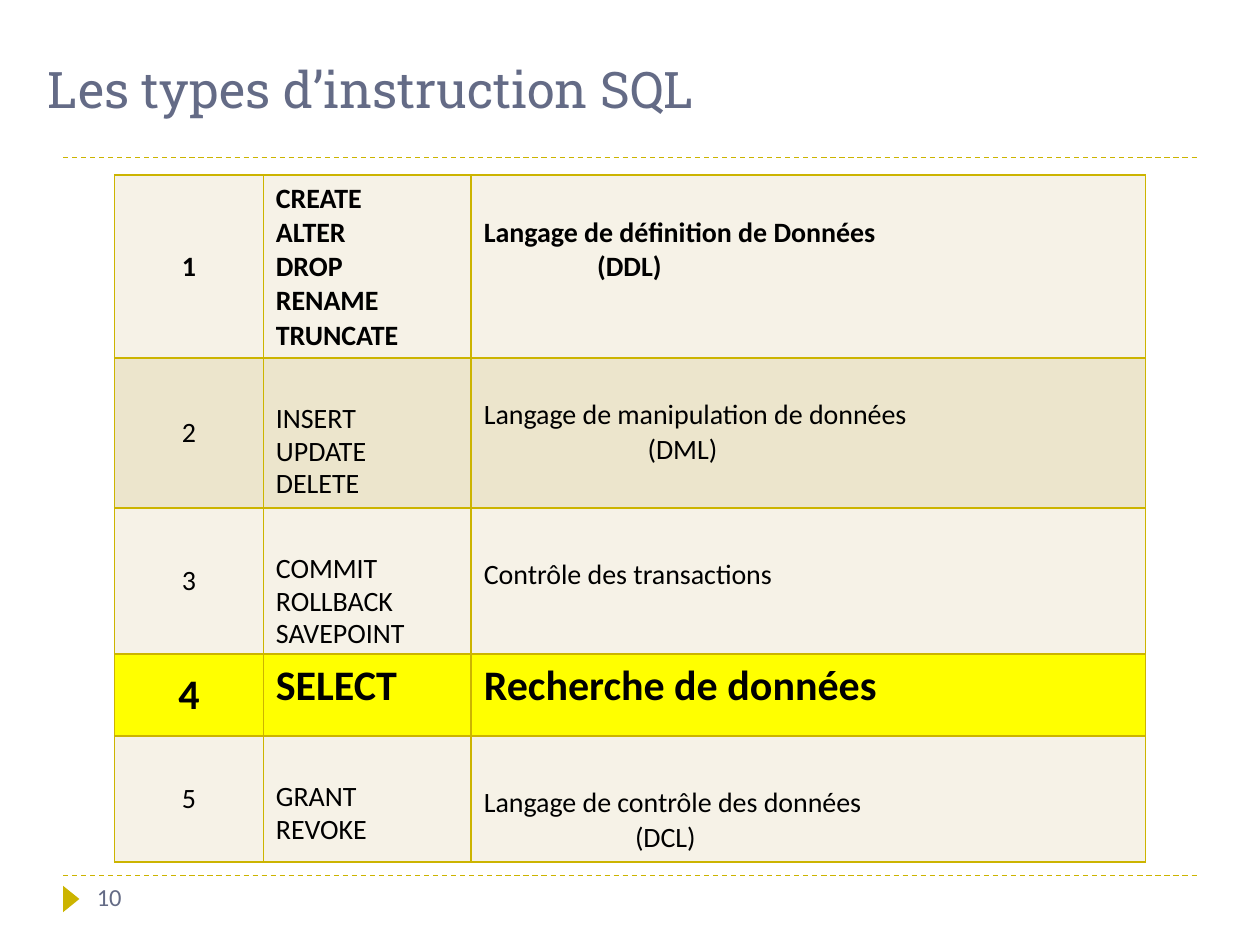
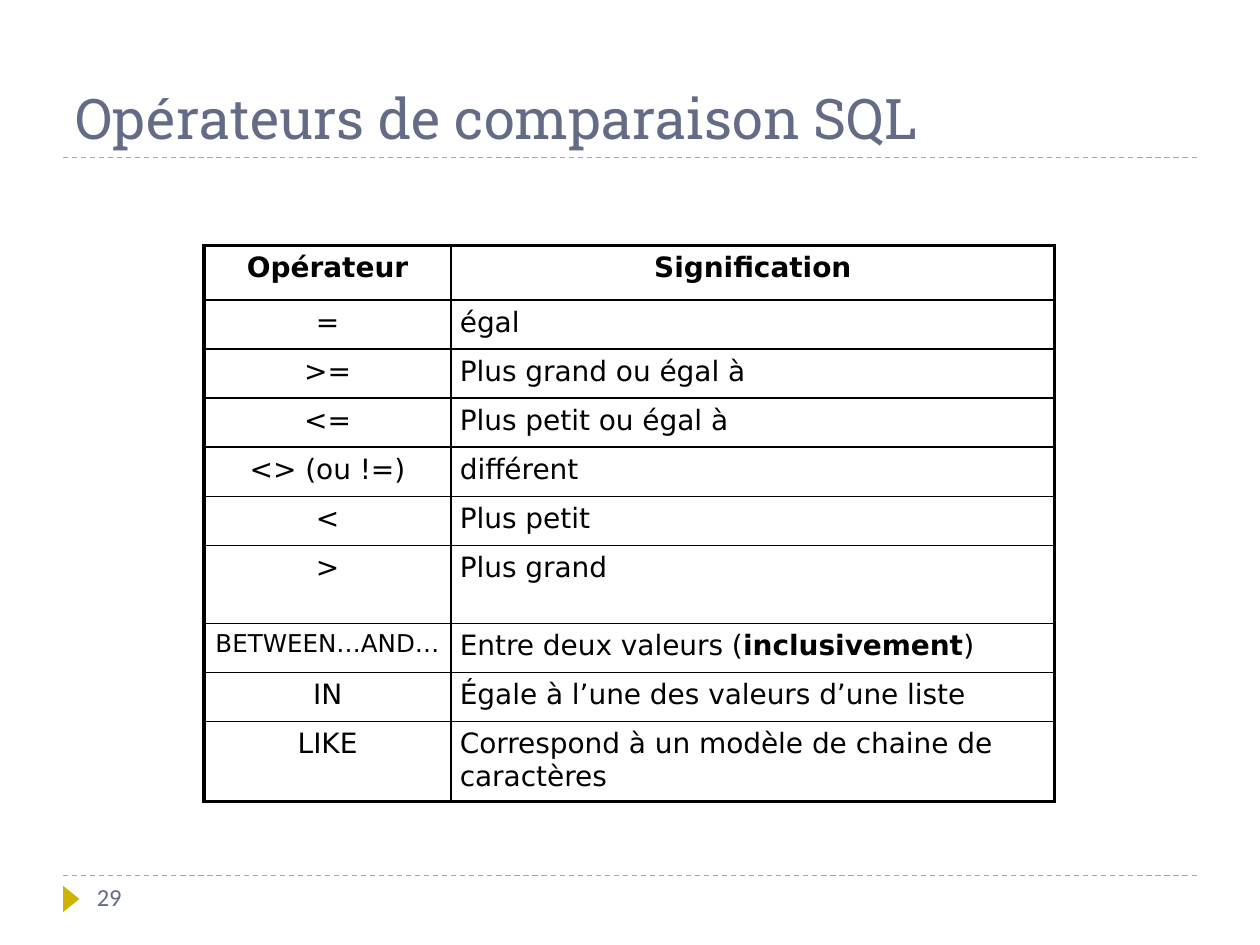
from dataclasses import dataclass
from lxml.etree import SubElement
from pptx import Presentation
from pptx.dml.color import RGBColor as RGB
from pptx.enum.dml import MSO_LINE as Dash
from pptx.enum.shapes import MSO_CONNECTOR as Wire, MSO_SHAPE as Shape
from pptx.enum.text import MSO_ANCHOR as Anchor, PP_ALIGN as Align
from pptx.oxml.ns import qn
from pptx.util import Inches, Pt


@dataclass(frozen=True)
class Theme:
    slate: str = "646B86"
    gold: str = "CCB400"
    black: str = "000000"
    cream: str = "F6F2E7"
    sand: str = "ECE5CC"
    yellow: str = "FFFF00"
    head: str = "Roboto Slab"
    body: str = "Calibri"
    sans: str = "DejaVu Sans"
    text: float = 16
    large: float = 24
    small: float = 14
    thin: float = 1
    thick: float = 2.25


T = Theme()
LEFT, CENTER = Align.LEFT, Align.CENTER


@dataclass
class Kind:
    """One row of the table of SQL statement types."""
    words: list
    label: list
    height: float
    fill: str = T.cream
    size: float = T.text
    bold: bool = False
    word_top: float = 0.35
    label_top: float = 0.32
    indent: float = 0


KINDS = [
    Kind(["CREATE", "ALTER", "DROP", "RENAME", "TRUNCATE"],
         ["Langage de définition de Données", "(DDL)"],
         1.45, bold=True, word_top=0.05, indent=0.9),
    Kind(["INSERT", "UPDATE", "DELETE"],
         ["Langage de manipulation de données", "(DML)"],
         1.19, fill=T.sand, indent=1.3),
    Kind(["COMMIT", "ROLLBACK", "SAVEPOINT"],
         ["Contrôle des transactions"], 1.16, label_top=0.4),
    Kind(["SELECT"], ["Recherche de données"], 0.65, fill=T.yellow,
         size=T.large, bold=True, word_top=0.05, label_top=0.05),
    Kind(["GRANT", "REVOKE"],
         ["Langage de contrôle des données", "(DCL)"],
         1, label_top=0.4, indent=1.2),
]

SIGNS = [
    ("Opérateur", "Signification"),
    ("=", "égal"),
    (">=", "Plus grand ou égal à"),
    ("<=", "Plus petit ou égal à"),
    ("<> (ou !=)", "différent"),
    ("<", "Plus petit"),
    (">", "Plus grand"),
    ("BETWEEN…AND…", "Entre deux valeurs (*inclusivement*)"),
    ("IN", "Égale à l’une des valeurs d’une liste"),
    ("LIKE", "Correspond à un modèle de chaine de caractères"),
]
SIGN_ROWS = {"Opérateur": 0.43, ">": 0.62, "LIKE": 0.62}


def style(para, size, face, color, bold=False, align=LEFT):
    para.alignment = align
    font = para.font
    font.size, font.name, font.bold = Pt(size), face, bold
    font.color.rgb = RGB.from_string(color)


def add_rule(slide, y):
    rule = slide.shapes.add_connector(
        Wire.STRAIGHT, Inches(0.5), Inches(y), Inches(9.5), Inches(y))
    rule.line.color.rgb = RGB.from_string(T.gold)
    rule.line.width = Pt(0.75)
    rule.line.dash_style = Dash.DASH
    SubElement(rule._element.spPr, qn("a:effectLst"))


def add_mark(slide):
    mark = slide.shapes.add_shape(
        Shape.ISOSCELES_TRIANGLE,
        Inches(0.46), Inches(7.07), Inches(0.21), Inches(0.13))
    mark.rotation = 90
    mark.shadow.inherit = False
    mark.fill.solid()
    mark.fill.fore_color.rgb = RGB.from_string(T.gold)
    mark.line.fill.background()


def add_page(deck, title, box, size, number):
    """Add a slide with its title, dashed rules and page number."""
    slide = deck.slides.add_slide(deck.slide_layouts[5])
    for y in (6.95, 1.25):
        add_rule(slide, y)
    add_mark(slide)
    head = slide.shapes.title
    head.left, head.top, head.width, head.height = map(Inches, box)
    frame = head.text_frame
    frame.text = title
    frame.word_wrap = True
    frame.vertical_anchor = Anchor.BOTTOM
    style(frame.paragraphs[0], size, T.head, T.slate)
    note = slide.shapes.add_textbox(
        Inches(0.67), Inches(6.95), Inches(2.17), Inches(0.4)).text_frame
    note.word_wrap = True
    note.text = str(number)
    style(note.paragraphs[0], T.small, T.body, T.slate)
    return slide


def add_grid(slide, left, top, cols, rows):
    """Add a plain table with the given column widths and row heights."""
    grid = slide.shapes.add_table(
        len(rows), len(cols), Inches(left), Inches(top),
        Inches(sum(cols)), Inches(sum(rows))).table
    grid.first_row = grid.horz_banding = False
    for col, width in zip(grid.columns, cols):
        col.width = Inches(width)
    for row, height in zip(grid.rows, rows):
        row.height = Inches(height)
    return grid


def set_edges(grid, color, outer, inner):
    rows, cols = len(grid.rows), len(grid.columns)
    for r in range(rows):
        for c in range(cols):
            props = grid.cell(r, c)._tc.get_or_add_tcPr()
            rims = {"L": c == 0, "R": c == cols - 1,
                    "T": r == 0, "B": r == rows - 1}
            for side, rim in rims.items():
                edge = SubElement(props, qn(f"a:ln{side}"),
                                  w=str(Pt(outer if rim else inner)))
                fill = SubElement(edge, qn("a:solidFill"))
                SubElement(fill, qn("a:srgbClr"), val=color)


def put_lines(cell, lines, size, bold, top=0.05, align=LEFT, pitch=None):
    cell.margin_top, cell.margin_bottom = Inches(top), 0
    frame = cell.text_frame
    frame.text = "\n".join(lines)
    for para in frame.paragraphs:
        para.line_spacing = pitch
        style(para, size, T.body, T.black, bold, align)


def fill_kinds(grid):
    for r, kind in enumerate(KINDS):
        rank, words, label = cells = [grid.cell(r, c) for c in range(3)]
        look = kind.size, kind.bold
        put_lines(rank, [str(r + 1)], *look, top=0, align=CENTER)
        rank.vertical_anchor = Anchor.MIDDLE
        pitch = None if kind.bold else 0.96
        put_lines(words, kind.words, *look, top=kind.word_top, pitch=pitch)
        put_lines(label, kind.label, *look, top=kind.label_top)
        for para in label.text_frame.paragraphs[1:]:
            props = para._p.get_or_add_pPr()
            props.set("marL", str(Inches(kind.indent)))
            props.set("indent", "0")
        for cell in cells:
            cell.fill.solid()
            cell.fill.fore_color.rgb = RGB.from_string(kind.fill)


def put_sign(cell, text, size, bold, align):
    """Write one line; the part between asterisks is bold."""
    cell.margin_left = cell.margin_right = Inches(0.07)
    cell.fill.background()
    para = cell.text_frame.paragraphs[0]
    style(para, size, T.sans, T.black, bold, align)
    for i, part in enumerate(text.split("*")):
        run = para.add_run()
        run.text = part
        if i % 2:
            run.font.bold = True


def fill_signs(grid):
    for r, (sign, sense) in enumerate(SIGNS):
        head = r == 0
        size = T.small if sign.startswith("BETWEEN") else T.text
        put_sign(grid.cell(r, 0), sign, size, head, CENTER)
        put_sign(grid.cell(r, 1), sense, T.text, head,
                 CENTER if head else LEFT)


def main():
    deck = Presentation()
    deck.slide_width, deck.slide_height = Inches(10), Inches(7.5)

    slide = add_page(deck, "Les types d’instruction SQL",
                     (0.28, 0.52, 9.22, 0.47), 28.8, 10)
    grid = add_grid(slide, 0.91, 1.39, (1.18, 1.65, 5.35),
                    [kind.height for kind in KINDS])
    set_edges(grid, T.gold, T.thin, T.thin)
    fill_kinds(grid)

    slide = add_page(deck, "Opérateurs de comparaison SQL",
                     (0.5, 0.17, 9, 1.08), 32, 29)
    grid = add_grid(slide, 1.62, 1.95, (1.96, 4.79),
                    [SIGN_ROWS.get(sign, 0.39) for sign, _ in SIGNS])
    set_edges(grid, T.black, T.thick, T.thin)
    fill_signs(grid)

    deck.save("out.pptx")


if __name__ == "__main__":
    main()
